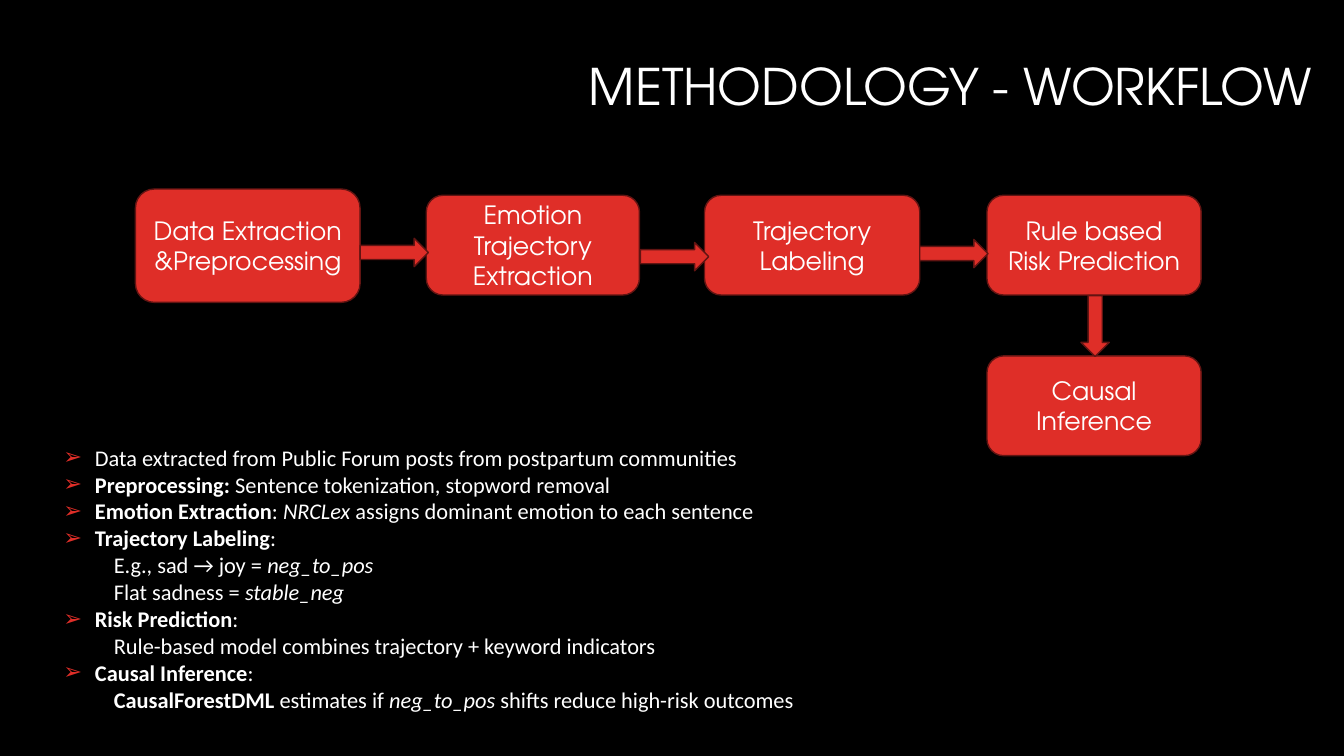
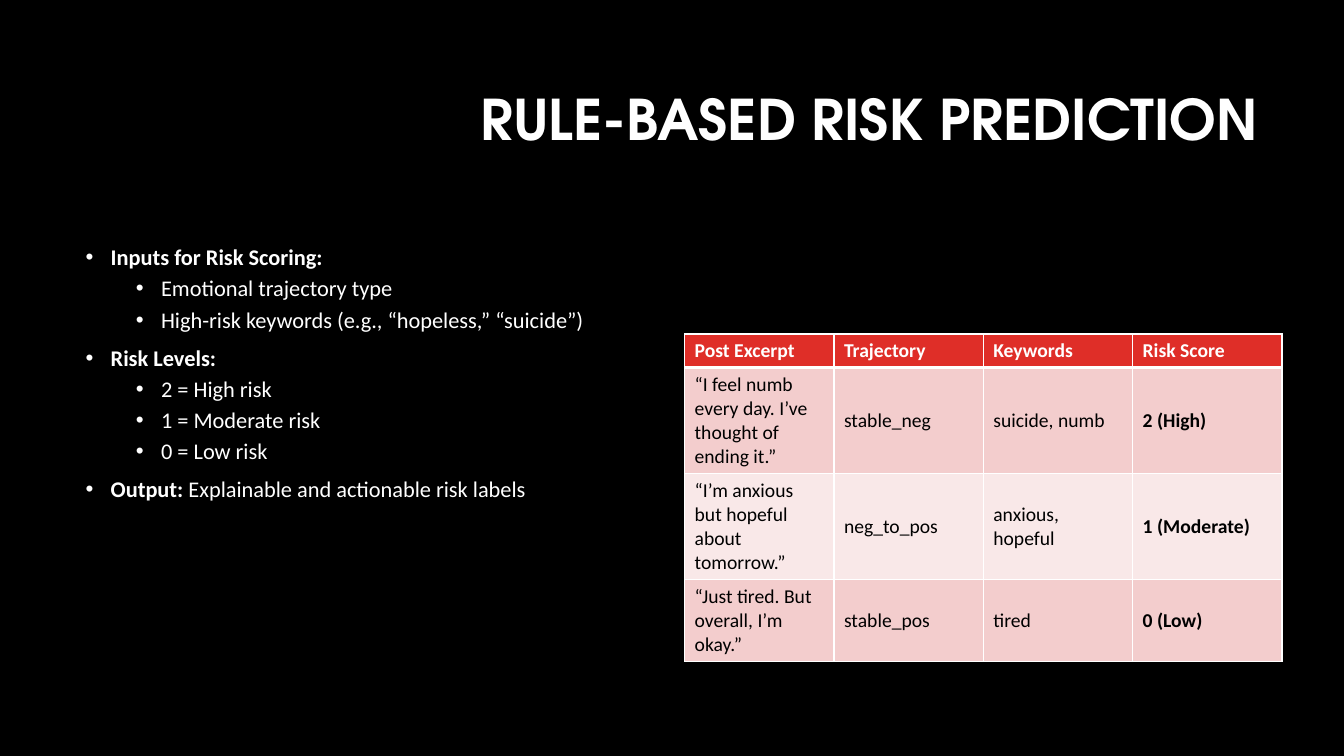
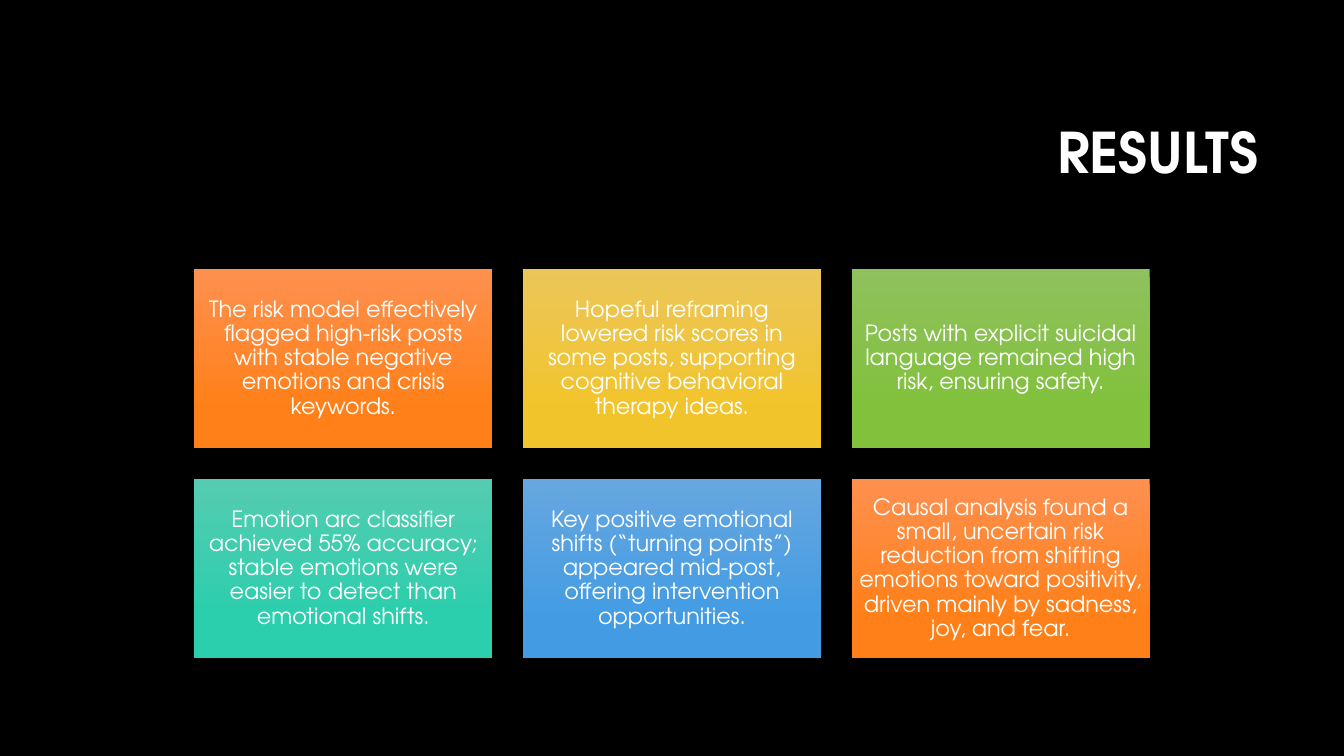
import pptx
import pptx.util
import pptx.dml.color
import pptx.enum.shapes
import pptx.enum.text
import pptx.oxml
import pptx.oxml.ns
from lxml import etree

PX = 9525
HEAD, BODY = "TeX Gyre Adventor", "Calibri"
RED, DARK, WHITE, BLACK = "DF2E28", "621412", "FFFFFF", "000000"
KIND = pptx.enum.shapes.MSO_SHAPE
MID = pptx.enum.text.MSO_ANCHOR.MIDDLE
LEFT = pptx.enum.text.PP_ALIGN.LEFT
RIGHT = pptx.enum.text.PP_ALIGN.RIGHT
MIDDLE = pptx.enum.text.PP_ALIGN.CENTER


def hue(code):
    return pptx.dml.color.RGBColor.from_string(code)


def write(frame, lines, face, size, align=LEFT, ink=WHITE, space=1.0, levels=None, tint=WHITE):
    """lines: (level, [(text, style)]); levels: (indent, hang, space before, bullet)."""
    frame.word_wrap = True
    for n, (level, parts) in enumerate(lines):
        para = frame.paragraphs[0] if n == 0 else frame.add_paragraph()
        para.alignment = align
        para.line_spacing = space
        if levels:
            indent, hang, before, mark = levels[level]
            para.level = level
            para.space_before = pptx.util.Pt(before if n else 0)
            props = para._p.get_or_add_pPr()
            props.set("marL", str(indent * PX))
            props.set("indent", str(-hang * PX))
            if mark:
                color = etree.SubElement(props, pptx.oxml.ns.qn("a:buClr"))
                etree.SubElement(color, pptx.oxml.ns.qn("a:srgbClr"), val=tint)
                etree.SubElement(props, pptx.oxml.ns.qn("a:buFont"), typeface="Arial")
                etree.SubElement(props, pptx.oxml.ns.qn("a:buChar"), char=mark)
            else:
                etree.SubElement(props, pptx.oxml.ns.qn("a:buNone"))
        for text, style in parts:
            run = para.add_run()
            run.text = text
            run.font.name = face
            run.font.size = pptx.util.Pt(size)
            run.font.color.rgb = hue(ink)
            run.font.bold = "b" in style
            run.font.italic = "i" in style


deck = pptx.Presentation()
deck.slide_width = 1280 * PX
deck.slide_height = 720 * PX

# Backgrounds and titles: text, box, size, style, bottom inset
wide = (304, 81, 904, 135)
titles = [
    ("METHODOLOGY - WORKFLOW", (522, 43, 737, 84), 36, "", 5),
    ("RULE-BASED RISK PREDICTION", wide, 40, "b", 68),
    ("RESULTS", wide, 40, "b", 5),
]
slides = []
for text, box, size, style, inset in titles:
    slide = deck.slides.add_slide(deck.slide_layouts[6])
    slide.background.fill.solid()
    slide.background.fill.fore_color.rgb = hue(BLACK)
    frame = slide.shapes.add_textbox(*[v * PX for v in box]).text_frame
    frame.vertical_anchor = MID
    frame.margin_bottom = inset * PX
    write(frame, [(0, [(text, style)])], HEAD, size, RIGHT, space=0.9)
    slides.append(slide)
flow, risk, found = slides

# Workflow: steps, then block arrows
step, arrow = KIND.FLOWCHART_ALTERNATE_PROCESS, KIND.RIGHT_ARROW
blocks = [
    (step, (129, 180, 214, 108), 0, "Data Extraction &Preprocessing"),
    (step, (406, 186, 203, 95), 0, "Emotion Trajectory Extraction"),
    (step, (671, 186, 205, 95), 0, "Trajectory Labeling"),
    (step, (940, 186, 204, 95), 0, "Rule based Risk Prediction"),
    (step, (940, 339, 204, 95), 0, "Causal Inference"),
    (arrow, (343, 227, 65, 27), 0, ""),
    (arrow, (610, 231, 65, 27), 0, ""),
    (arrow, (876, 228, 65, 27), 0, ""),
    (arrow, (1014, 297, 58, 27), 90, ""),
]
for kind, box, turn, text in blocks:
    shape = flow.shapes.add_shape(kind, *[v * PX for v in box])
    shape.shadow.inherit = False
    shape.rotation = turn
    shape.fill.solid()
    shape.fill.fore_color.rgb = hue(RED)
    shape.line.color.rgb = hue(DARK)
    shape.line.width = pptx.util.Pt(1)
    if text:
        shape.text_frame.vertical_anchor = MID
        write(shape.text_frame, [(0, [(text, "")])], HEAD, 18, MIDDLE)

# Workflow notes
notes = [
    (0, [("Data extracted from Public Forum posts from postpartum communities", "")]),
    (0, [("Preprocessing: ", "b"), ("Sentence tokenization, stopword removal", "")]),
    (0, [("Emotion Extraction", "b"), (": ", ""), ("NRCLex", "i"),
         (" assigns dominant emotion to each sentence", "")]),
    (0, [("Trajectory Labeling", "b"), (":", "")]),
    (1, [("E.g., sad → joy = ", ""), ("neg_to_pos", "i")]),
    (1, [("Flat sadness = ", ""), ("stable_neg", "i")]),
    (0, [("Risk Prediction", "b"), (":", "")]),
    (1, [("Rule-based model combines trajectory + keyword indicators", "")]),
    (0, [("Causal Inference", "b"), (":", "")]),
    (1, [("CausalForestDML", "b"), (" estimates if ", ""), ("neg_to_pos", "i"),
         (" shifts reduce high-risk outcomes", "")]),
]
frame = flow.shapes.add_textbox(51 * PX, 418 * PX, 840 * PX, 298 * PX).text_frame
write(frame, notes, BODY, 16, levels=[(30, 30, 0, "➢"), (48, 0, 0, "")], tint=RED)

# Risk scoring list
points = [
    (0, [("Inputs for Risk Scoring:", "b")]),
    (1, [("Emotional trajectory type", "")]),
    (1, [("High-risk keywords (e.g., “hopeless,” “suicide”)", "")]),
    (0, [("Risk Levels:", "b")]),
    (1, [("2 = High risk", "")]),
    (1, [("1 = Moderate risk", "")]),
    (1, [("0 = Low risk", "")]),
    (0, [("Output:", "b"), (" Explainable and actionable risk labels", "")]),
]
frame = risk.shapes.add_textbox(72 * PX, 230 * PX, 1136 * PX, 422 * PX).text_frame
write(frame, points, BODY, 16, space=0.9, levels=[(24, 24, 10, "•"), (72, 24, 5, "•")])

# Risk score table
rows = [
    ("Post Excerpt", "Trajectory", "Keywords", "Risk Score"),
    ("“I feel numb every day. I’ve thought of ending it.”", "stable_neg", "suicide, numb", "2 (High)"),
    ("“I’m anxious but hopeful about tomorrow.”", "neg_to_pos", "anxious, hopeful", "1 (Moderate)"),
    ("“Just tired. But overall, I’m okay.”", "stable_pos", "tired", "0 (Low)"),
]
tall = [32, 101, 101, 78]
fills = [RED, "F3CDCD", "F9E8E8", "F3CDCD"]
table = risk.shapes.add_table(4, 4, 652 * PX, 318 * PX, 569 * PX, sum(tall) * PX).table
for col in table.columns:
    col.width = 569 * PX // 4
for r, row in enumerate(rows):
    table.rows[r].height = tall[r] * PX
    for c, text in enumerate(row):
        cell = table.cell(r, c)
        cell.vertical_anchor = MID
        props = cell._tc.get_or_add_tcPr()
        for side in "LRTB":
            thick = (r, side) in [(0, "B"), (1, "T")]
            edge = etree.SubElement(props, pptx.oxml.ns.qn("a:ln" + side), w="38100" if thick else "12700")
            solid = etree.SubElement(edge, pptx.oxml.ns.qn("a:solidFill"))
            etree.SubElement(solid, pptx.oxml.ns.qn("a:srgbClr"), val=WHITE)
        cell.fill.solid()
        cell.fill.fore_color.rgb = hue(fills[r])
        style = "b" if r == 0 or c == 3 else ""
        write(cell.text_frame, [(0, [(text, style)])], BODY, 14, ink=BLACK if r else WHITE)

# Result cards in a grid of three columns
cards = [
    ("FE904F", "FF8019", "The risk model effectively flagged high-risk posts with stable negative "
     "emotions and crisis keywords."),
    ("EBC659", "F2C42C", "Hopeful reframing lowered risk scores in some posts, supporting cognitive "
     "behavioral therapy ideas."),
    ("8FC15E", "81C13C", "Posts with explicit suicidal language remained high risk, ensuring safety."),
    ("55CCB1", "2BCEAD", "Emotion arc classifier achieved 55% accuracy; stable emotions were easier "
     "to detect than emotional shifts."),
    ("66A7E0", "439CE3", "Key positive emotional shifts (“turning points”) appeared mid-post, "
     "offering intervention opportunities."),
    ("FE904F", "FF8019", "Causal analysis found a small, uncertain risk reduction from shifting "
     "emotions toward positivity, driven mainly by sadness, joy, and fear."),
]
wid, high, gap = 284, 171, 29
for n, (top, base, text) in enumerate(cards):
    x = 185 + n % 3 * (wid + gap)
    y = 256 + n // 3 * (high + gap)
    card = found.shapes.add_shape(KIND.RECTANGLE, x * PX, y * PX, wid * PX, high * PX)
    card.shadow.inherit = False
    card.line.fill.background()
    card.fill.gradient()
    card.fill.gradient_angle = 270
    for stop, color, place in zip(card.fill.gradient_stops, (top, base), (0, 0.78)):
        stop.color.rgb = hue(color)
        stop.position = place
    frame = card.text_frame
    frame.vertical_anchor = MID
    frame.margin_left = frame.margin_right = frame.margin_top = frame.margin_bottom = 7 * PX
    write(frame, [(0, [(text, "")])], HEAD, 16, MIDDLE, space=0.9)

deck.save("out.pptx")
